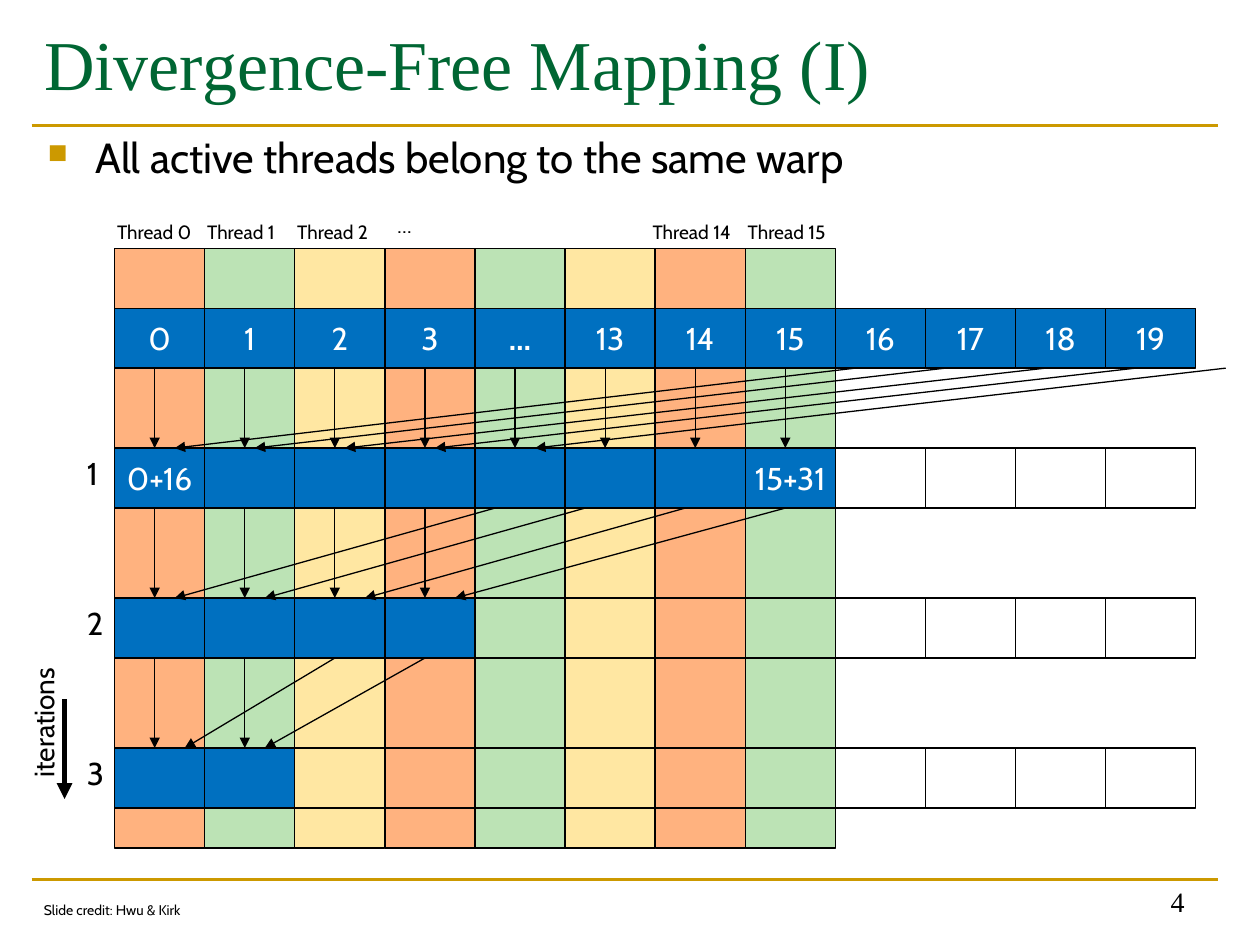
from dataclasses import dataclass

import pptx
import pptx.dml.color
import pptx.enum.shapes
import pptx.enum.text
import pptx.oxml
import pptx.oxml.ns
import pptx.util
from lxml import etree

ANCHOR = pptx.enum.text.MSO_ANCHOR
ALIGN = pptx.enum.text.PP_ALIGN
FIT = pptx.enum.text.MSO_AUTO_SIZE
RECTANGLE = pptx.enum.shapes.MSO_SHAPE.RECTANGLE
STRAIGHT = pptx.enum.shapes.MSO_CONNECTOR.STRAIGHT
qn = pptx.oxml.ns.qn

BLACK, WHITE, GOLD, GREEN, BLUE = "000000", "FFFFFF", "CC9900", "006633", "0070C0"
THREAD_TINTS = ["FF6600", "7AC96C", "FFD147"]
SANS, SERIF = "Cabin", "Times New Roman"

# Each column is 9 steps wide and each row 3 steps high
COLUMN, ROW = 9, 3
THREADS, ELEMENTS = 8, 12


@dataclass
class Box:
    """An area in inches, divided into equal columns and rows."""
    left: float
    top: float
    width: float
    height: float
    columns: float = 100
    rows: float = 100

    def point(self, x, y):
        return (pptx.util.Inches(self.left + self.width * x / self.columns),
                pptx.util.Inches(self.top + self.height * y / self.rows))

    def area(self, x, y, width, height):
        return (*self.point(x, y),
                pptx.util.Inches(self.width * width / self.columns),
                pptx.util.Inches(self.height * height / self.rows))


def colour(value):
    return pptx.dml.color.RGBColor.from_string(value)


def apply(target, values):
    for name, value in values.items():
        setattr(target, name, value)


def write(shape, text, size, ink=BLACK, face=SANS, align=ALIGN.LEFT, bold=False,
          bullet=None, **frame_format):
    frame = shape.text_frame
    apply(frame, {"word_wrap": False, "vertical_anchor": ANCHOR.TOP, **frame_format})
    paragraph = frame.paragraphs[0]
    paragraph.text = text
    paragraph.alignment = align
    if bullet:
        properties = paragraph._p.get_or_add_pPr()
        indent = pptx.util.Inches(0.38)
        properties.set("marL", str(indent))
        properties.set("indent", str(-indent))
        tint = etree.SubElement(properties, qn("a:buClr"))
        etree.SubElement(tint, qn("a:srgbClr"), val=GOLD)
        etree.SubElement(properties, qn("a:buSzPct"), val="65000")
        etree.SubElement(properties, qn("a:buChar"), char=bullet)
    font = paragraph.runs[0].font
    apply(font, {"size": pptx.util.Pt(size), "name": face, "bold": bold})
    font.color.rgb = colour(ink)


def label(slide, area, text, size, **text_format):
    holder = slide.shapes.add_textbox(*area)
    write(holder, text, size, **text_format)
    return holder


def rectangle(slide, area, fill=None, alpha=None):
    shape = slide.shapes.add_shape(RECTANGLE, *area)
    shape.shadow.inherit = False
    shape.line.color.rgb = colour(BLACK)
    shape.line.width = pptx.util.Pt(0.75)
    if fill is None:
        shape.fill.background()
        return shape
    shape.fill.solid()
    shape.fill.fore_color.rgb = colour(fill)
    if alpha:
        tint = shape._element.spPr.find(qn("a:solidFill")).find(qn("a:srgbClr"))
        etree.SubElement(tint, qn("a:alpha"), val=str(alpha * 1000))
    return shape


def line(slide, start, end, ink=BLACK, width=0.75, arrow=True):
    connector = slide.shapes.add_connector(STRAIGHT, *start, *end)
    connector.line.color.rgb = colour(ink)
    connector.line.width = pptx.util.Pt(width)
    if arrow:
        etree.SubElement(connector.line._get_or_add_ln(), qn("a:tailEnd"), type="triangle")
    etree.SubElement(connector._element.spPr, qn("a:effectLst"))


def add_heading(slide, page):
    # Gold rules above and below the content
    for y in (13.3, 93.1):
        line(slide, page.point(2.5, y), page.point(96.7, y), GOLD, 1.5, arrow=False)
    title = slide.shapes.title
    apply(title, dict(zip(("left", "top", "width", "height"),
                          page.area(2.5, 0, 94.2, 13.2))))
    write(title, "Divergence-Free Mapping (I)", 40, ink=GREEN, face=SERIF,
          word_wrap=True, vertical_anchor=ANCHOR.MIDDLE, auto_size=FIT.NONE)
    label(slide, page.area(2.8, 13.3, 93.7, 79.7),
          "All active threads belong to the same warp", 24, bullet="■", word_wrap=True)


def add_threads(slide, grid):
    # One tinted band per thread, behind the elements
    for thread in range(THREADS):
        rectangle(slide, grid.area(thread * COLUMN, 0, COLUMN, grid.rows),
                  THREAD_TINTS[thread % 3], alpha=50)
    for text, x, width in (("Thread 0", -1, 10.2), ("Thread 1", 8, 10.2),
                           ("Thread 2", 17, 10.2), ("Thread 14", 52.5, 11.5),
                           ("Thread 15", 62, 11.5)):
        label(slide, grid.area(x, -1.7, width, 1.8), text, 11)
    label(slide, grid.area(3 * COLUMN, -2.1, 4.3, 1.9), "…", 12)


def add_element_row(slide, grid, top, active, values):
    for column in range(ELEMENTS):
        cell = rectangle(slide, grid.area(column * COLUMN, top, COLUMN, ROW),
                         BLUE if column < active else None)
        if column in values:
            text = values[column]
            write(cell, text, 18, ink=WHITE, align=ALIGN.CENTER, bold=text == "…",
                  vertical_anchor=ANCHOR.MIDDLE)


def add_sums(slide, grid, top, bottom, active, partners):
    straight = [(column * COLUMN + 4,) * 2 for column in range(active)]
    for start, end in straight + partners:
        line(slide, grid.point(start, top + ROW), grid.point(end, bottom))


def add_reduction(slide, grid):
    tops = [3, 10, 17.5, 25]
    active = [ELEMENTS, THREADS, 4, 2]
    inputs = "0 1 2 3 … 13 14 15 16 17 18 19".split()
    values = [dict(enumerate(inputs)), {0: "0+16", 7: "15+31"}, {}, {}]
    # Start and end steps of the arrows from each partner element
    partners = [
        [(74, 6), (83, 14), (93, 23), (102, 32), (111, 42)],
        [(38, 6), (47, 15), (57, 25), (67, 34)],
        [(22, 7), (31, 15)],
    ]
    for row in zip(tops, active, values):
        add_element_row(slide, grid, *row)
    for step in zip(tops, tops[1:], active[1:], partners):
        add_sums(slide, grid, *step)
    # Iteration numbers and direction
    for number, top in enumerate(tops[1:], 1):
        label(slide, grid.area(-4, top, 4.3, 2.5), str(number), 18)
    caption = label(slide, grid.area(-14, 22.6, 13.5, 2.2), "iterations", 16)
    caption.rotation = 270
    line(slide, grid.point(-5, 22.55), grid.point(-5, 27.55), width=3)


def add_footer(slide, page):
    label(slide, page.area(71.7, 91.1, 23.3, 6.7), "4", 16, face=SERIF,
          align=ALIGN.RIGHT, word_wrap=True, vertical_anchor=ANCHOR.BOTTOM)
    label(slide, page.area(2.5, 94.7, 13.9, 3.2), "Slide credit: Hwu & Kirk", 8)


def main():
    deck = pptx.Presentation()
    page = Box(0, 0, 10, 7.5)
    deck.slide_width = pptx.util.Inches(page.width)
    deck.slide_height = pptx.util.Inches(page.height)
    slide = deck.slides.add_slide(deck.slide_layouts[5])
    grid = Box(0.91, 1.97, 8.58, 4.76, ELEMENTS * COLUMN, 10 * ROW)
    add_heading(slide, page)
    add_threads(slide, grid)
    add_reduction(slide, grid)
    add_footer(slide, page)
    deck.save("out.pptx")


if __name__ == "__main__":
    main()
